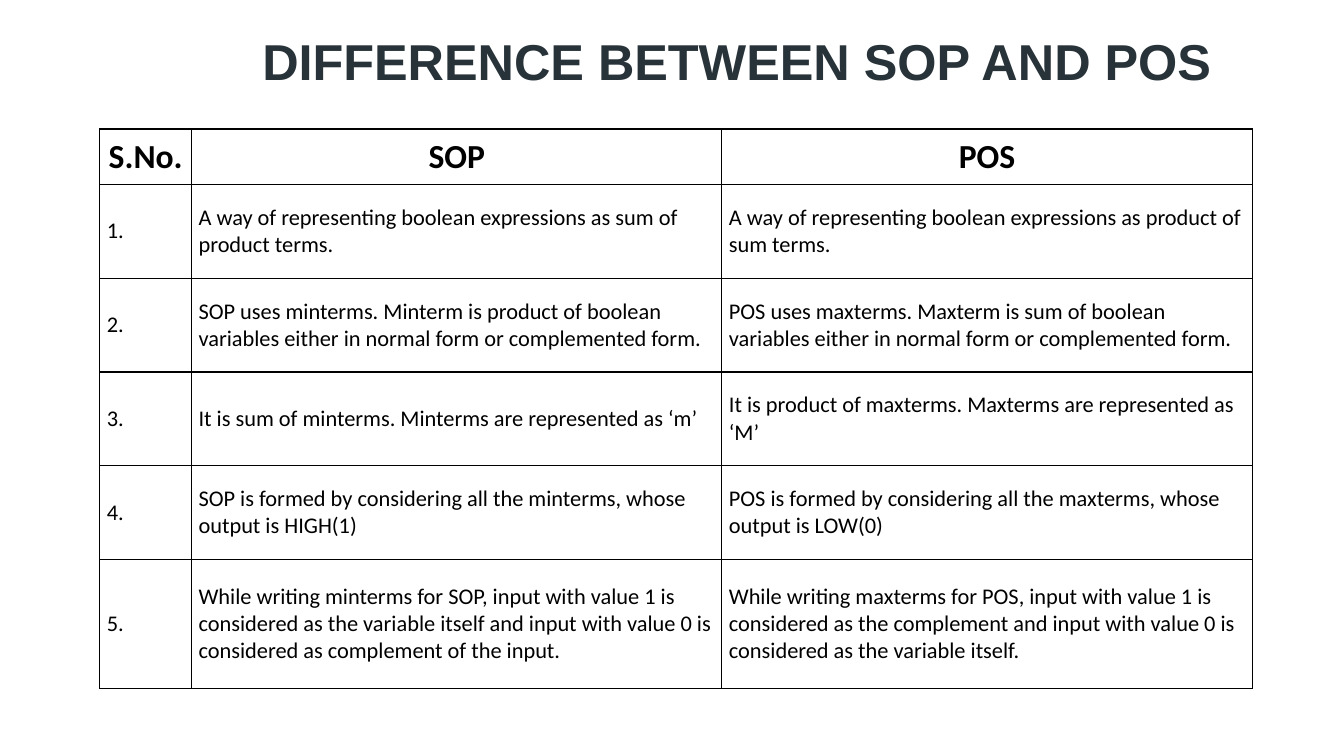
from lxml import etree
from pptx import Presentation
from pptx.dml.color import RGBColor
from pptx.enum.text import MSO_ANCHOR, PP_ALIGN
from pptx.oxml.ns import qn
from pptx.util import Inches, Pt

CENTER, LEFT = PP_ALIGN.CENTER, PP_ALIGN.LEFT
MIDDLE = MSO_ANCHOR.MIDDLE

THEME = {
    "title": {"name": "Arial", "size": Pt(36), "bold": True, "color": "273239"},
    "header": {"name": "Calibri", "size": Pt(24), "bold": True, "color": "000000"},
    "body": {"name": "Calibri", "size": Pt(16), "bold": False, "color": "000000"},
    "border": "000000",
}

HEADERS = ("S.No.", "SOP", "POS")
DIFFERENCES = [
    ("A way of representing boolean expressions as sum of product terms.",
     "A way of representing boolean expressions as product of sum terms."),
    ("SOP uses minterms. Minterm is product of boolean variables either in normal form or complemented form.",
     "POS uses maxterms. Maxterm is sum of boolean variables either in normal form or complemented form."),
    ("It is sum of minterms. Minterms are represented as ‘m’",
     "It is product of maxterms. Maxterms are represented as ‘M’"),
    ("SOP is formed by considering all the minterms, whose output is HIGH(1)",
     "POS is formed by considering all the maxterms, whose output is LOW(0)"),
    ("While writing minterms for SOP, input with value 1 is considered as the variable itself "
     "and input with value 0 is considered as complement of the input.",
     "While writing maxterms for POS, input with value 1 is considered as the complement "
     "and input with value 0 is considered as the variable itself."),
]
COL_WIDTHS = (0.91, 5.26, 5.26)
ROW_HEIGHTS = (0.55, 0.93, 0.93, 0.93, 0.93, 1.28)


def write(p, text, style, align):
    p.alignment = align
    r = p.add_run()
    r.text = text
    for key, value in THEME[style].items():
        if key == "color":
            r.font.color.rgb = RGBColor.from_string(value)
        else:
            setattr(r.font, key, value)


def add_borders(cell):
    tcPr = cell._tc.get_or_add_tcPr()
    for side in ("lnL", "lnR", "lnT", "lnB"):
        ln = etree.SubElement(tcPr, qn(f"a:{side}"), w=str(Pt(1)))
        fill = etree.SubElement(ln, qn("a:solidFill"))
        etree.SubElement(fill, qn("a:srgbClr"), val=THEME["border"])


prs = Presentation()
prs.slide_width, prs.slide_height = Inches(13.33), Inches(7.5)
s = prs.slides.add_slide(prs.slide_layouts[5])

title = s.shapes.title
title.left, title.top = Inches(2.2), Inches(0.16)
title.width, title.height = Inches(10.22), Inches(0.96)
tf = title.text_frame
tf.word_wrap = True
tf.vertical_anchor = MIDDLE
p = tf.paragraphs[0]
p.line_spacing = 0.9
write(p, "DIFFERENCE BETWEEN SOP AND POS", "title", CENTER)

rows = [HEADERS] + [(f"{n}.", *pair) for n, pair in enumerate(DIFFERENCES, 1)]
table = s.shapes.add_table(
    len(rows), len(HEADERS), Inches(0.99), Inches(1.28),
    Inches(sum(COL_WIDTHS)), Inches(sum(ROW_HEIGHTS))).table
table.first_row = table.horz_banding = False
for col, width in zip(table.columns, COL_WIDTHS):
    col.width = Inches(width)

for i, (texts, height) in enumerate(zip(rows, ROW_HEIGHTS)):
    table.rows[i].height = Inches(height)
    style, align, pad = ("body", LEFT, 0.1) if i else ("header", CENTER, 0.07)
    cell_format = {
        "vertical_anchor": MIDDLE,
        "margin_left": Inches(0.07), "margin_right": Inches(0.07),
        "margin_top": Inches(pad), "margin_bottom": Inches(pad),
    }
    for j, text in enumerate(texts):
        cell = table.cell(i, j)
        for key, value in cell_format.items():
            setattr(cell, key, value)
        add_borders(cell)
        cell.fill.background()
        write(cell.text_frame.paragraphs[0], text, style, align)

prs.save("out.pptx")
